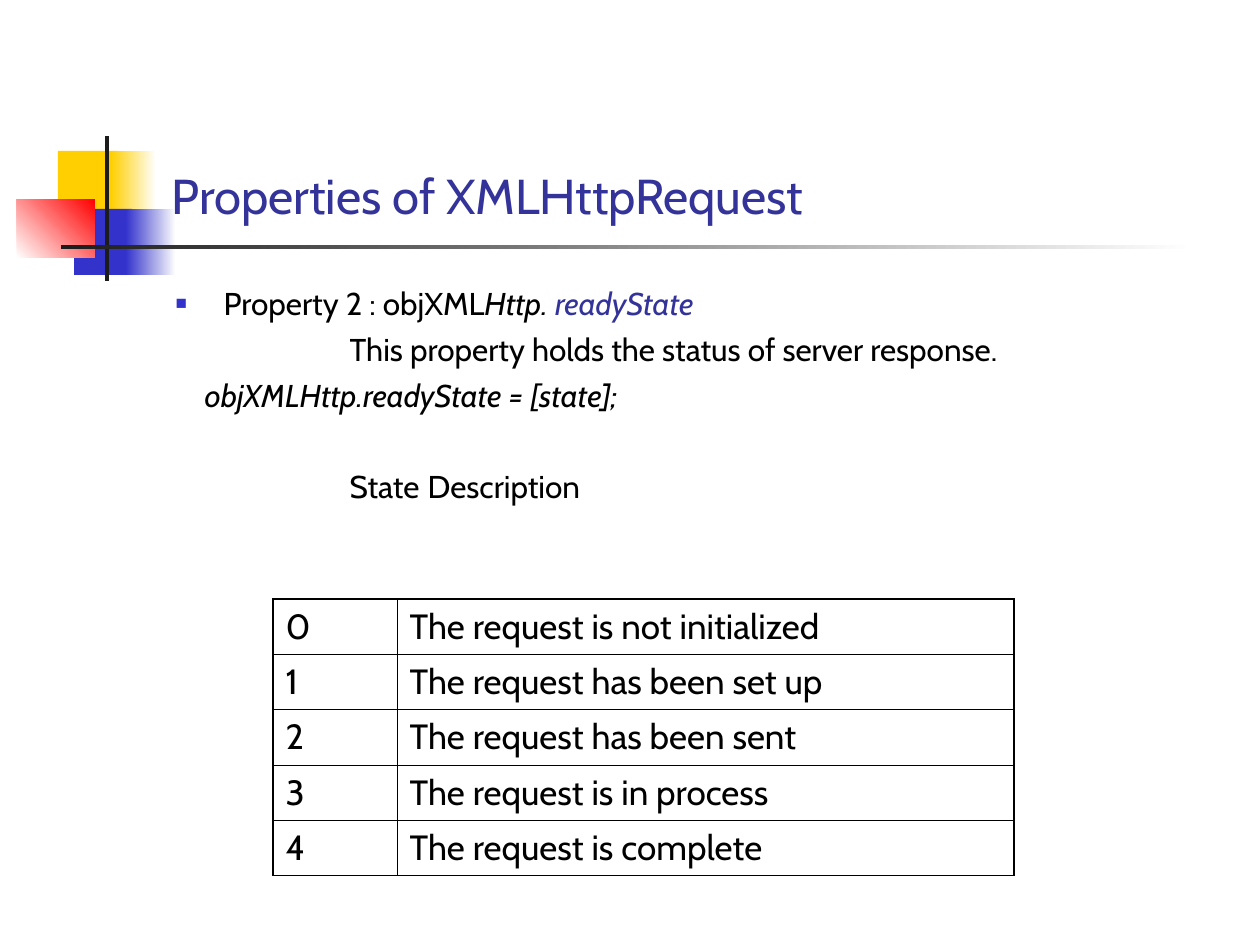
from lxml.etree import SubElement
from pptx import Presentation
from pptx.dml.color import RGBColor
from pptx.enum.shapes import MSO_SHAPE
from pptx.enum.text import MSO_ANCHOR, PP_ALIGN
from pptx.oxml import parse_xml
from pptx.oxml.ns import nsdecls, qn
from pptx.util import Pt

PX = 914400 // 126
FONT = "Cabin"
BLACK = RGBColor(0, 0, 0)
WHITE = RGBColor(255, 255, 255)
GOLD = RGBColor(0xFF, 0xCF, 0x01)
BLUE = RGBColor(0x33, 0x33, 0xCC)
RED = RGBColor(255, 0, 0)
DARK = RGBColor(0x1C, 0x1C, 0x1C)
NAVY = RGBColor(0x33, 0x33, 0x99)

TITLE = "Properties of XMLHttpRequest"
DECOR = [
    ((58, 151, 60, 66), (GOLD,), 0),
    ((111, 151, 45, 66), (GOLD, WHITE), 0),
    ((74, 209, 58, 66), (BLUE,), 0),
    ((126, 209, 50, 66), (BLUE, WHITE), 0),
    ((17, 199, 78, 59), (WHITE, RED), 45),
    ((105, 136, 4, 145), (DARK,), 0),
    ((61, 245, 1134, 4), (DARK, WHITE), 0),
]
LINES = [
    (48, -48, 4.5, [("Property 2 : objXML", False, BLACK),
                    ("Http.", True, BLACK), (" readyState", True, NAVY)]),
    (0, 174, 4.5, [("This property holds the status of server response.", False, BLACK)]),
    (0, 29, 4.5, [("objXMLHttp.readyState = [state];", True, BLACK)]),
    (0, 174, 30.5, [("State\tDescription", False, BLACK)]),
]
TAB = 286
STATES = [
    ("0", "The request is not initialized"),
    ("1", "The request has been set up"),
    ("2", "The request has been sent"),
    ("3", "The request is in process"),
    ("4", "The request is complete"),
]
COLS = (124, 617)
ROW = 55
THIN, THICK = Pt(0.45), Pt(1.08)


def place(shape, *box):
    shape.left, shape.top, shape.width, shape.height = [v * PX for v in box]


def style(font, size, color):
    font.name, font.size = FONT, Pt(size)
    font.color.rgb = color


def decorate(slide, box, colors, angle):
    shape = slide.shapes.add_shape(MSO_SHAPE.RECTANGLE, *[v * PX for v in box])
    shape.shadow.inherit = False
    shape.line.fill.background()
    if len(colors) == 1:
        shape.fill.solid()
        shape.fill.fore_color.rgb = colors[0]
    else:
        shape.fill.gradient()
        shape.fill.gradient_angle = angle
        for stop, color, pos in zip(shape.fill.gradient_stops, colors, (0, 1)):
            stop.color.rgb, stop.position = color, pos


def add_line(para, margin, indent, gap, runs):
    para.space_before = Pt(gap)
    style(para.font, 18, BLACK)
    for text, slant, color in runs:
        run = para.add_run()
        run.text = text
        style(run.font, 18, color)
        run.font.italic = slant
    props = para._p.get_or_add_pPr()
    props.set("marL", str(margin * PX))
    props.set("indent", str(indent * PX))
    marks = [f'<a:buClr {nsdecls("a")}><a:srgbClr val="{BLUE}"/></a:buClr>',
             f'<a:buSzPct {nsdecls("a")} val="60000"/>',
             f'<a:buChar {nsdecls("a")} char="■"/>']
    if not margin:
        marks = [f'<a:buNone {nsdecls("a")}/>',
                 f'<a:tabLst {nsdecls("a")}><a:tab pos="{TAB * PX}" algn="l"/></a:tabLst>']
    spot = list(props).index(props.find(qn("a:spcBef"))) + 1
    for step, mark in enumerate(marks):
        props.insert(spot + step, parse_xml(mark))


def add_border(cell, edges):
    props = cell._tc.get_or_add_tcPr()
    for step, (side, outer) in enumerate(edges):
        line = SubElement(props, qn(f"a:ln{side}"), w=str(THICK if outer else THIN))
        fill = SubElement(line, qn("a:solidFill"))
        SubElement(fill, qn("a:srgbClr"), val=str(BLACK))
        props.insert(step, line)


def add_states(slide):
    frame = slide.shapes.add_table(len(STATES), len(COLS), 273 * PX, 599 * PX,
                                   sum(COLS) * PX, ROW * len(STATES) * PX)
    table = frame.table
    table.first_row = table.horz_banding = False
    for col, width in zip(table.columns, COLS):
        col.width = width * PX
    for r, texts in enumerate(STATES):
        table.rows[r].height = ROW * PX
        for c, text in enumerate(texts):
            cell = table.cell(r, c)
            cell.text = text
            cell.fill.background()
            style(cell.text_frame.paragraphs[0].font, 20, BLACK)
            add_border(cell, [("L", c == 0), ("R", c == len(COLS) - 1),
                              ("T", r == 0), ("B", r == len(STATES) - 1)])


def main():
    deck = Presentation()
    deck.slide_width, deck.slide_height = 1260 * PX, 945 * PX
    slide = deck.slides.add_slide(deck.slide_layouts[1])
    title, body = slide.placeholders
    for item in DECOR:
        decorate(slide, *item)
    for holder in (title, body):
        slide.shapes._spTree.append(holder._element)

    place(title, 159, 29, 1074, 202)
    title.text_frame.text = TITLE
    title.text_frame.vertical_anchor = MSO_ANCHOR.BOTTOM
    head = title.text_frame.paragraphs[0]
    head.alignment = PP_ALIGN.LEFT
    style(head.font, 28, NAVY)

    place(body, 163, 278, 960, 646)
    text = body.text_frame
    for n, line in enumerate(LINES):
        add_line(text.add_paragraph() if n else text.paragraphs[0], *line)

    add_states(slide)
    deck.save("out.pptx")


if __name__ == "__main__":
    main()
